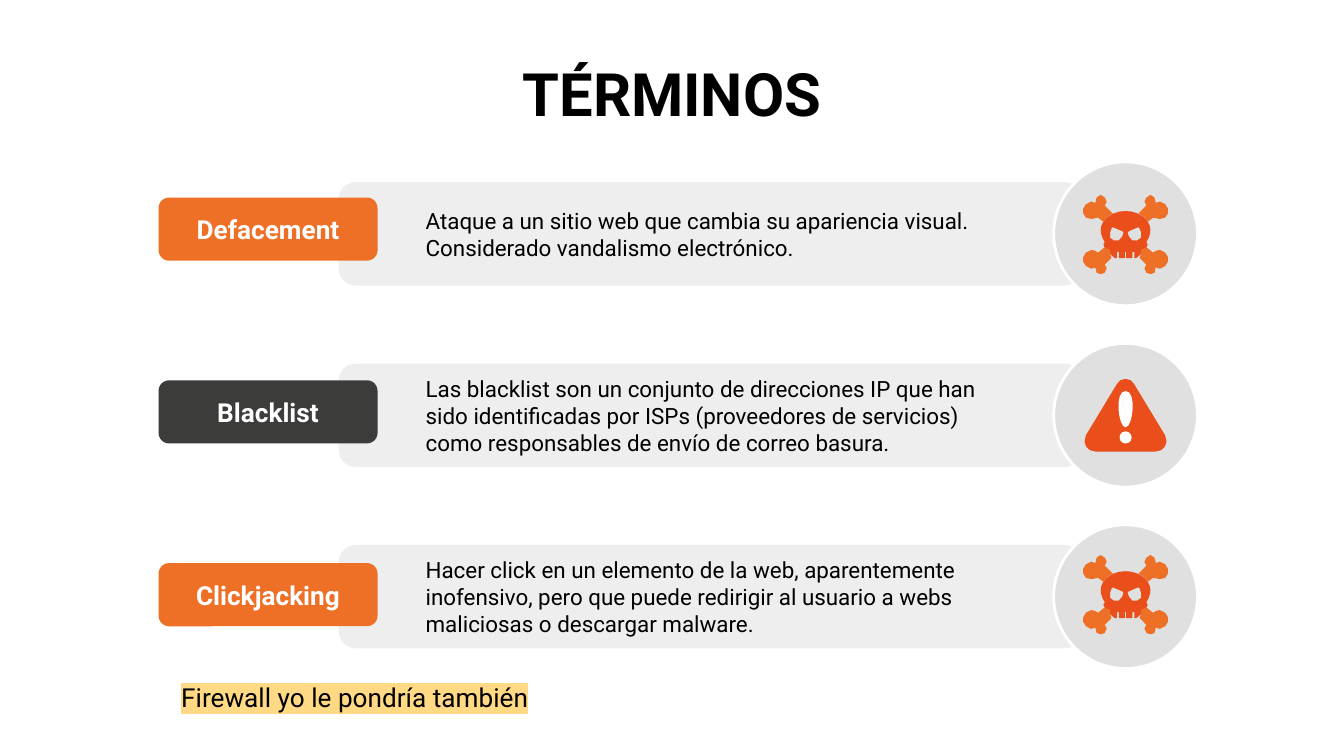
import math
from dataclasses import dataclass

from lxml import etree
from pptx import Presentation
from pptx.dml.color import RGBColor
from pptx.enum import shapes, text
from pptx.oxml import ns
from pptx.util import Emu, Pt

SCALE = 4572  # EMU per px, 200 px to the inch


@dataclass(frozen=True)
class Theme:
    font: str = "Roboto"
    ink: str = "000000"
    white: str = "FFFFFF"
    orange: str = "EE7026"
    red: str = "E94E1B"
    dark: str = "3C3C3B"
    bar: str = "EEEEEE"
    disc: str = "E0E0E0"
    marker: str = "FFD983"
    title_size: int = 32
    label_size: int = 14
    body_size: int = 12


THEME = Theme()

# Outlines around the icon centre: a pair is a line, six numbers are a curve.
# Half outlines run from top to bottom on the right of the vertical axis.
HALF_SKULL = [(0, -34), (21, -34, 37, -20, 37, -6), (37, 0, 35, 6, 31, 12),
              (33, 16), (33, 21, 29, 24, 23, 24), (23, 30),
              (23, 34, 21, 36, 16, 36), (13, 36), (13, 27), (10, 27),
              (10, 36), (1, 36), (1, 27)]
EYE = [(19, -10), (21, -8), (23, -2), (25, 4, 23, 9, 17, 10),
       (12, 12, 7, 9, 5, 4), (3, -2), (5, -4)]
UPPER_BONE = [(37, -58), (31, -54), (27, -50, 27, -46, 31, -42),
              (19, -30), (25, -28, 31, -22, 33, -18), (41, -24),
              (43, -22, 47, -22, 51, -22), (53, -22, 57, -22, 59, -24),
              (65, -30, 65, -38, 59, -44), (57, -46, 53, -48, 51, -48),
              (45, -46), (45, -50, 45, -52, 43, -54)]
LOWER_BONE = [(31, 20), (23, 24), (23, 30), (21, 36),
              (31, 46), (27, 48, 27, 54, 31, 58), (37, 60), (43, 58),
              (45, 56, 45, 54, 45, 50), (51, 52), (53, 52, 57, 50, 59, 48),
              (65, 42, 65, 34, 59, 28), (57, 26, 53, 24, 51, 24),
              (47, 24, 43, 26, 41, 28)]
HALF_TRIANGLE = [(0, -54), (5, -54, 11, -52, 13, -46), (59, 30),
                 (65, 42, 57, 54, 45, 54)]
HALF_STROKE = [(0, -36), (17, -36, 11, 18, 0, 18)]


def px(length):
    return Emu(round(length * SCALE))


def rgb(code):
    return RGBColor.from_string(code)


def apply(target, values):
    for name, value in values.items():
        setattr(target, name, value)


# Text
def write(shape, words, size, color=THEME.ink, bold=False, inset=(20, 20),
          align=text.PP_ALIGN.LEFT, anchor=text.MSO_ANCHOR.MIDDLE):
    across, down = map(px, inset)
    frame = shape.text_frame
    apply(frame, {"word_wrap": True, "auto_size": text.MSO_AUTO_SIZE.NONE,
                  "vertical_anchor": anchor, "margin_left": across,
                  "margin_right": across, "margin_top": down, "margin_bottom": down})
    para = frame.paragraphs[0]
    para.alignment = align
    span = para.add_run()
    span.text = words
    apply(span.font, {"name": THEME.font, "size": Pt(size), "bold": bold})
    span.font.color.rgb = rgb(color)
    return span


def highlight(span, color):
    mark = etree.Element(ns.qn("a:highlight"))
    etree.SubElement(mark, ns.qn("a:srgbClr"), val=color)
    span._r.get_or_add_rPr().find(ns.qn("a:solidFill")).addnext(mark)


# Shapes
def paint(shape, fill, line=None):
    shape.shadow.inherit = False
    shape.fill.solid()
    shape.fill.fore_color.rgb = rgb(fill)
    if line:
        shape.line.color.rgb = rgb(line)
        shape.line.width = Pt(1.5)
    else:
        shape.line.fill.background()
    return shape


def add_preset(page, kind, box, fill, line=None):
    return paint(page.shapes.add_shape(kind, *map(px, box)), fill, line)


def trace(outline):
    points = [outline[0]]
    for piece in outline[1:]:
        if len(piece) == 2:
            points.append(piece)
            continue
        numbers = points[-1] + piece
        knots = list(zip(numbers[::2], numbers[1::2]))
        steps = max(1, round(math.dist(knots[0], knots[3]) / 7))
        for step in range(1, steps + 1):
            t = step / steps
            weights = ((1 - t) ** 3, 3 * t * (1 - t) ** 2, 3 * t * t * (1 - t), t ** 3)
            points.append(tuple(sum(w * knot[axis] for w, knot in zip(weights, knots))
                                for axis in (0, 1)))
    return points


def flip(points):
    return [(-x, y) for x, y in reversed(points)]


def whole(half):
    points = trace(half)
    return points + flip(points)


def add_outline(page, center, contours, fill):
    placed = [[(px(center[0] + x), px(center[1] + y)) for x, y in contour]
              for contour in contours]
    builder = page.shapes.build_freeform(*placed[0][0], scale=1.0)
    for index, contour in enumerate(placed):
        if index:
            builder.move_to(*contour[0])
        builder.add_line_segments(contour[1:], close=True)
    paint(builder.convert_to_shape(), fill)


# Icons
def add_skull(page, center):
    eye = trace(EYE)
    add_outline(page, center, [whole(HALF_SKULL), eye, flip(eye)], THEME.red)
    for outline in (UPPER_BONE, LOWER_BONE):
        bone = trace(outline)
        for side in (bone, flip(bone)):
            add_outline(page, center, [side], THEME.orange)


def add_warning(page, center):
    add_outline(page, center, [whole(HALF_TRIANGLE)], THEME.red)
    add_outline(page, center, [whole(HALF_STROKE)], THEME.white)
    x, y = center
    add_preset(page, shapes.MSO_SHAPE.OVAL, (x - 9, y + 24, 18, 18), THEME.white)


# One term: bar with its meaning, disc with icon, label
def add_term(page, row, label, meaning, fill, add_icon, icon_y):
    rounded = shapes.MSO_SHAPE.ROUNDED_RECTANGLE
    bar = add_preset(page, rounded, (504, 271 + 270 * row, 1106, 154), THEME.bar)
    write(bar, meaning, THEME.body_size, inset=(122, 20))
    add_preset(page, shapes.MSO_SHAPE.OVAL, (1568, 241 + 270 * row, 214, 214),
               THEME.disc, THEME.white)
    add_icon(page, (1675, icon_y))
    tag = add_preset(page, rounded, (236, 294 + 272 * row, 326, 94), fill)
    write(tag, label, THEME.label_size, THEME.white, True, align=text.PP_ALIGN.CENTER)


def main():
    deck = Presentation()
    apply(deck, {"slide_width": px(2000), "slide_height": px(1125)})
    page = deck.slides.add_slide(deck.slide_layouts[5])

    # Title
    title = page.shapes.title
    apply(title, dict(zip(("left", "top", "width", "height"),
                          map(px, (100, 64, 1800, 126)))))
    write(title, "TÉRMINOS", THEME.title_size, bold=True,
          align=text.PP_ALIGN.CENTER, anchor=text.MSO_ANCHOR.TOP)

    # Terms
    terms = [
        ("Defacement", "Ataque a un sitio web que cambia su apariencia visual. "
         "Considerado vandalismo electrónico.", THEME.orange, add_skull, 348),
        ("Blacklist", "Las blacklist son un conjunto de direcciones IP que han sido "
         "identificadas por ISPs (proveedores de servicios) como responsables de "
         "envío de correo basura.", THEME.dark, add_warning, 618),
        ("Clickjacking", "Hacer click en un elemento de la web, aparentemente "
         "inofensivo, pero que puede redirigir al usuario a webs maliciosas o "
         "descargar malware.", THEME.orange, add_skull, 884),
    ]
    for row, term in enumerate(terms):
        add_term(page, row, *term)

    # Remark
    remark = page.shapes.add_textbox(*map(px, (250, 994, 602, 88)))
    span = write(remark, "Firewall yo le pondría también", THEME.label_size,
                 anchor=text.MSO_ANCHOR.TOP)
    highlight(span, THEME.marker)

    deck.save("out.pptx")


if __name__ == "__main__":
    main()
